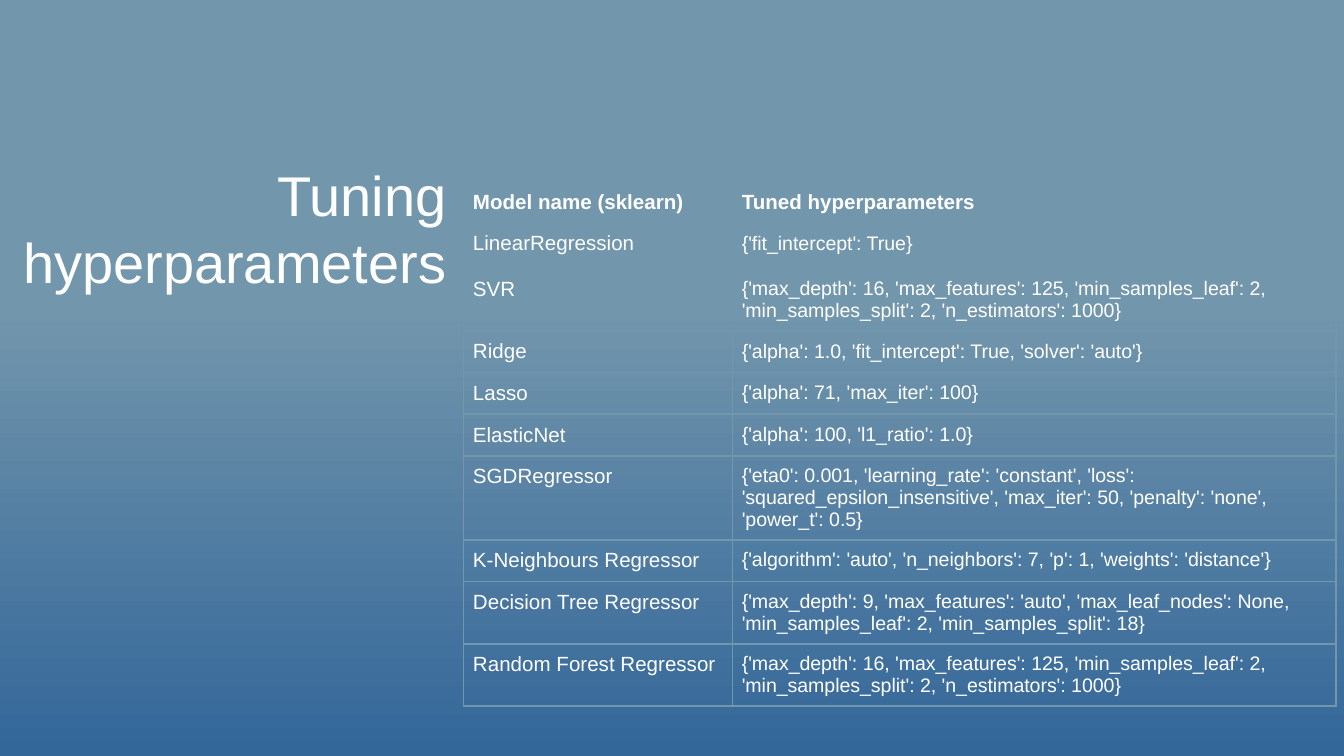
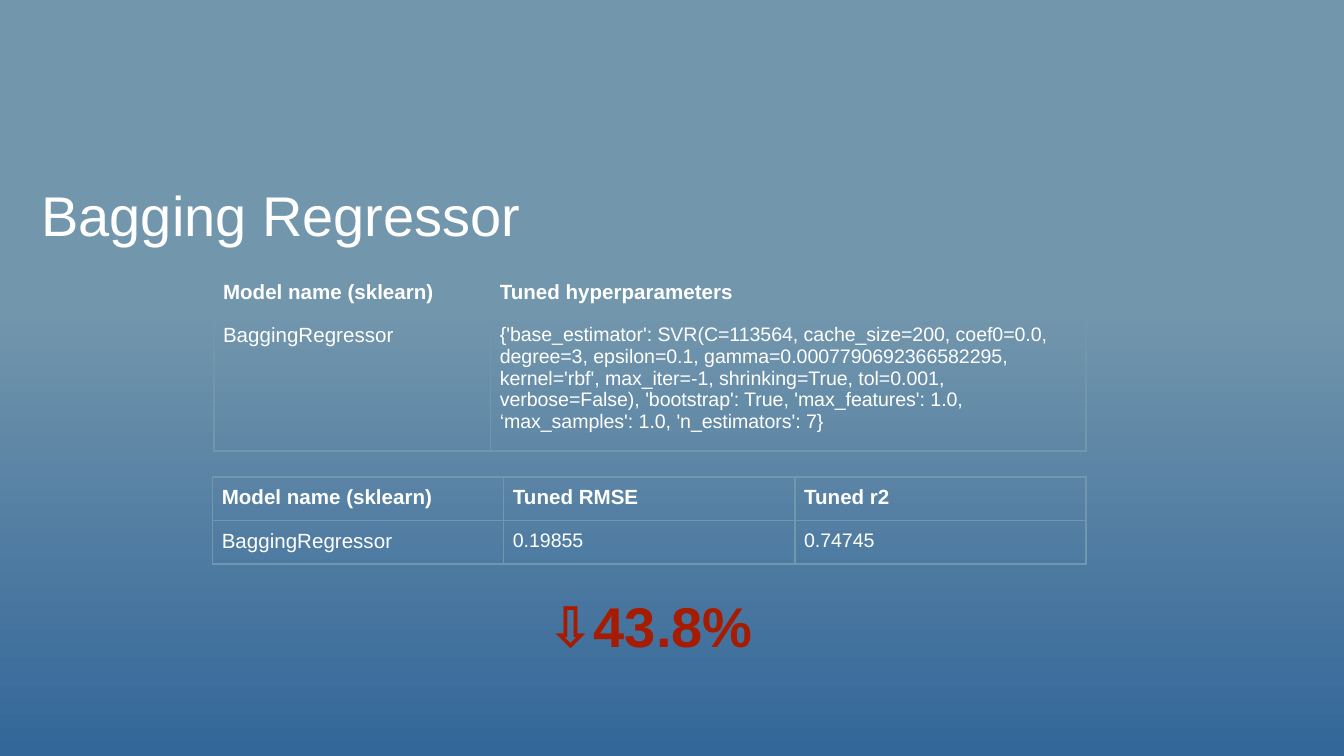
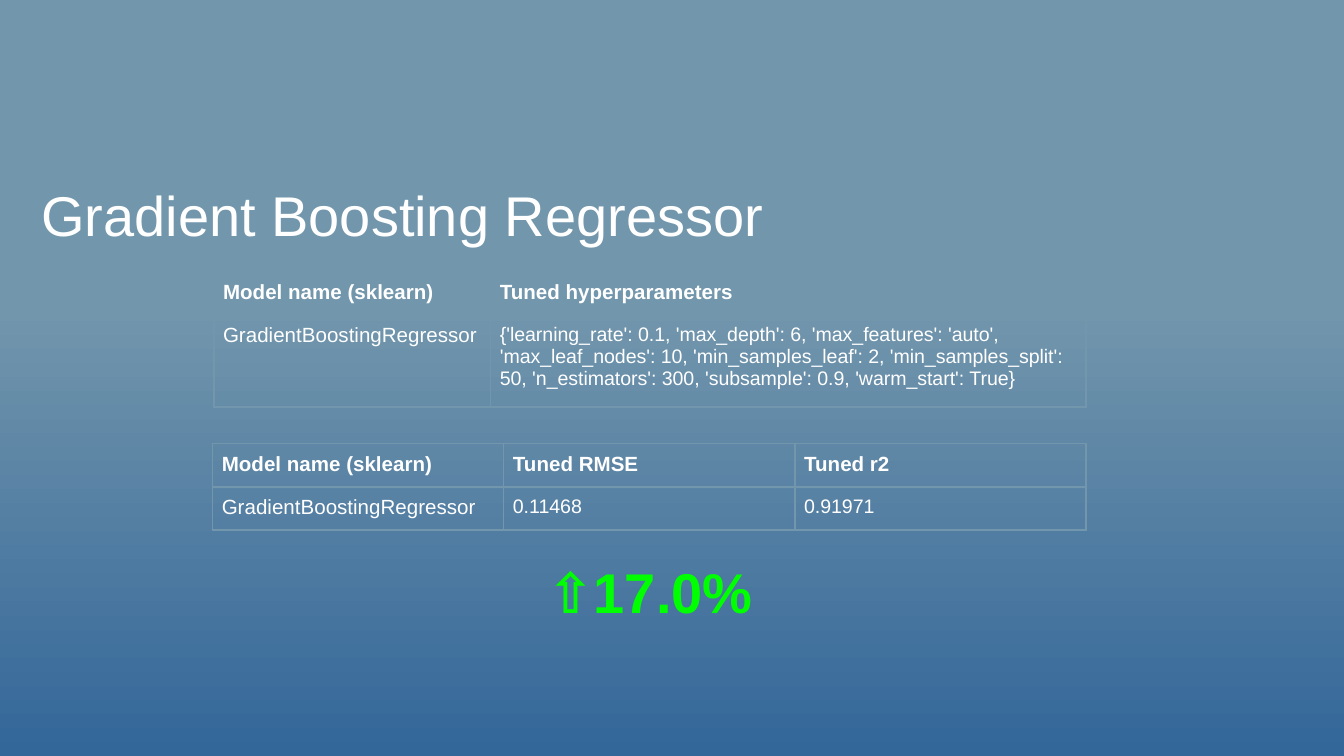
from collections import namedtuple

from lxml.etree import SubElement
from pptx import Presentation
from pptx.dml.color import RGBColor
from pptx.enum.shapes import MSO_SHAPE as Preset
from pptx.enum.text import MSO_ANCHOR as Anchor, PP_ALIGN as Align
from pptx.oxml.ns import qn
from pptx.util import Pt

Box = namedtuple("Box", "left top width height")

COLORS = {
    "sky": "7296AC",
    "deep": "336699",
    "text": "FFFFFF",
    "worse": "A61C00",
    "better": "00FF00",
}
FONT = "Arial"
TITLE_SIZE, NAME_SIZE, VALUE_SIZE = 30, 11, 10.5
PAGE = Box(0, 0, 720, 405)
BAND = Box(0, 164.2, 720, 240.8)
CELL_INSET = 5
ROW = 22.3
TWO_LINES, THREE_LINES = 33.4, 45
TUNING_HEADER = ("Model name (sklearn)", "Tuned hyperparameters")
SCORE_HEADER = ("Model name (sklearn)", "Tuned RMSE", "Tuned r2")

TUNED_MODELS = [
    ("LinearRegression", "{'fit_intercept': True}", 24.5),
    ("SVR", "{'max_depth': 16, 'max_features': 125, 'min_samples_leaf': 2, "
     "'min_samples_split': 2, 'n_estimators': 1000}", TWO_LINES),
    ("Ridge", "{'alpha': 1.0, 'fit_intercept': True, 'solver': 'auto'}", ROW),
    ("Lasso", "{'alpha': 71, 'max_iter': 100}", ROW),
    ("ElasticNet", "{'alpha': 100, 'l1_ratio': 1.0}", ROW),
    ("SGDRegressor", "{'eta0': 0.001, 'learning_rate': 'constant', 'loss': "
     "'squared_epsilon_insensitive', 'max_iter': 50, 'penalty': 'none', "
     "'power_t': 0.5}", THREE_LINES),
    ("K-Neighbours Regressor", "{'algorithm': 'auto', 'n_neighbors': 7, 'p': 1, "
     "'weights': 'distance'}", ROW),
    ("Decision Tree Regressor", "{'max_depth': 9, 'max_features': 'auto', "
     "'max_leaf_nodes': None, 'min_samples_leaf': 2, 'min_samples_split': 18}",
     TWO_LINES),
    ("Random Forest Regressor", "{'max_depth': 16, 'max_features': 125, "
     "'min_samples_leaf': 2, 'min_samples_split': 2, 'n_estimators': 1000}",
     TWO_LINES),
]

BAGGING_PARAMETERS = (
    "{'base_estimator': SVR(C=113564, cache_size=200, coef0=0.0, degree=3, "
    "epsilon=0.1, gamma=0.0007790692366582295, kernel='rbf', max_iter=-1, "
    "shrinking=True, tol=0.001, verbose=False), 'bootstrap': True, "
    "'max_features': 1.0, ‘max_samples': 1.0, 'n_estimators': 7}"
)
BOOSTING_PARAMETERS = (
    "{'learning_rate': 0.1, 'max_depth': 6, 'max_features': 'auto', "
    "'max_leaf_nodes': 10, 'min_samples_leaf': 2, 'min_samples_split': 50, "
    "'n_estimators': 300, 'subsample': 0.9, 'warm_start': True}"
)


def color(name):
    return RGBColor.from_string(COLORS[name])


def points(box):
    return [Pt(length) for length in box]


def add_span(para, text, size, bold=False, tint="text"):
    span = para.add_run()
    span.text = text
    span.font.name = FONT
    span.font.size = Pt(size)
    span.font.bold = bold
    span.font.color.rgb = color(tint)


def add_text(page, box, text, align=Align.LEFT, bold=False, tint="text", inset=7.2):
    frame = page.shapes.add_textbox(*points(box)).text_frame
    frame.word_wrap = True
    frame.vertical_anchor = Anchor.MIDDLE
    frame.margin_left = frame.margin_right = Pt(7.2)
    frame.margin_top = frame.margin_bottom = Pt(inset)
    para = frame.paragraphs[0]
    para.alignment = align
    add_span(para, text, TITLE_SIZE, bold, tint)


def add_page(deck):
    page = deck.slides.add_slide(deck.slide_layouts[6])
    page.background.fill.solid()
    page.background.fill.fore_color.rgb = color("sky")
    band = page.shapes.add_shape(Preset.RECTANGLE, *points(BAND))
    band.shadow.inherit = False
    band.line.fill.background()
    band.fill.gradient()
    band.fill.gradient_angle = 270
    for stop, position, name in zip(band.fill.gradient_stops, (0, 1), ("sky", "deep")):
        stop.position = position
        stop.color.rgb = color(name)
    return page


def outline_cell(cell):
    properties = cell._tc.get_or_add_tcPr()
    for index, side in enumerate(("a:lnL", "a:lnR", "a:lnT", "a:lnB")):
        line = properties.makeelement(qn(side), {"w": str(Pt(1))})
        fill = SubElement(line, qn("a:solidFill"))
        SubElement(fill, qn("a:srgbClr"), val=COLORS["sky"])
        properties.insert(index, line)


def add_grid(page, left, top, widths, heights, rows):
    box = Box(left, top, sum(widths), sum(heights))
    table = page.shapes.add_table(len(rows), len(widths), *points(box)).table
    table.first_row = table.horz_banding = False
    for column, width in zip(table.columns, widths):
        column.width = Pt(width)
    for row_index, (row, height) in enumerate(zip(rows, heights)):
        table.rows[row_index].height = Pt(height)
        for column_index, text in enumerate(row):
            cell = table.cell(row_index, column_index)
            cell.margin_left = cell.margin_right = Pt(CELL_INSET)
            cell.margin_top = cell.margin_bottom = Pt(CELL_INSET)
            cell.fill.background()
            outline_cell(cell)
            header = row_index == 0
            size = NAME_SIZE if header or column_index == 0 else VALUE_SIZE
            add_span(cell.text_frame.paragraphs[0], text, size, bold=header)


def build_overview(deck):
    page = add_page(deck)
    rows = [TUNING_HEADER] + [model[:2] for model in TUNED_MODELS]
    heights = [ROW] + [model[2] for model in TUNED_MODELS]
    add_grid(page, 248.4, 97.2, (144, 323.3), heights, rows)
    add_text(page, Box(0, 100.8, 246.2, 42.5), "Tuning hyperparameters", Align.RIGHT)


def build_model(deck, title, name, parameters, height, scores, score_top, change, tint):
    page = add_page(deck)
    add_text(page, Box(15.1, 95.8, 462.2, 38.2), title, inset=3.6)
    add_grid(page, 114.5, 145.4, (148.3, 319), (ROW, height),
             [TUNING_HEADER, (name, parameters)])
    add_grid(page, 113.8, score_top, [156] * 3, [ROW] * 2,
             [SCORE_HEADER, (name, *scores)])
    add_text(page, Box(191.5, score_top + 60.8, 313.2, 36.7), change,
             Align.CENTER, bold=True, tint=tint)


def main():
    deck = Presentation()
    deck.slide_width, deck.slide_height = Pt(PAGE.width), Pt(PAGE.height)
    build_overview(deck)
    build_model(deck, "Bagging Regressor", "BaggingRegressor", BAGGING_PARAMETERS,
                68, ("0.19855", "0.74745"), 255.6, "⇩43.8%", "worse")
    build_model(deck, "Gradient Boosting Regressor", "GradientBoostingRegressor",
                BOOSTING_PARAMETERS, 49.5, ("0.11468", "0.91971"), 237.6,
                "⇧17.0%", "better")
    deck.save("out.pptx")


if __name__ == "__main__":
    main()
